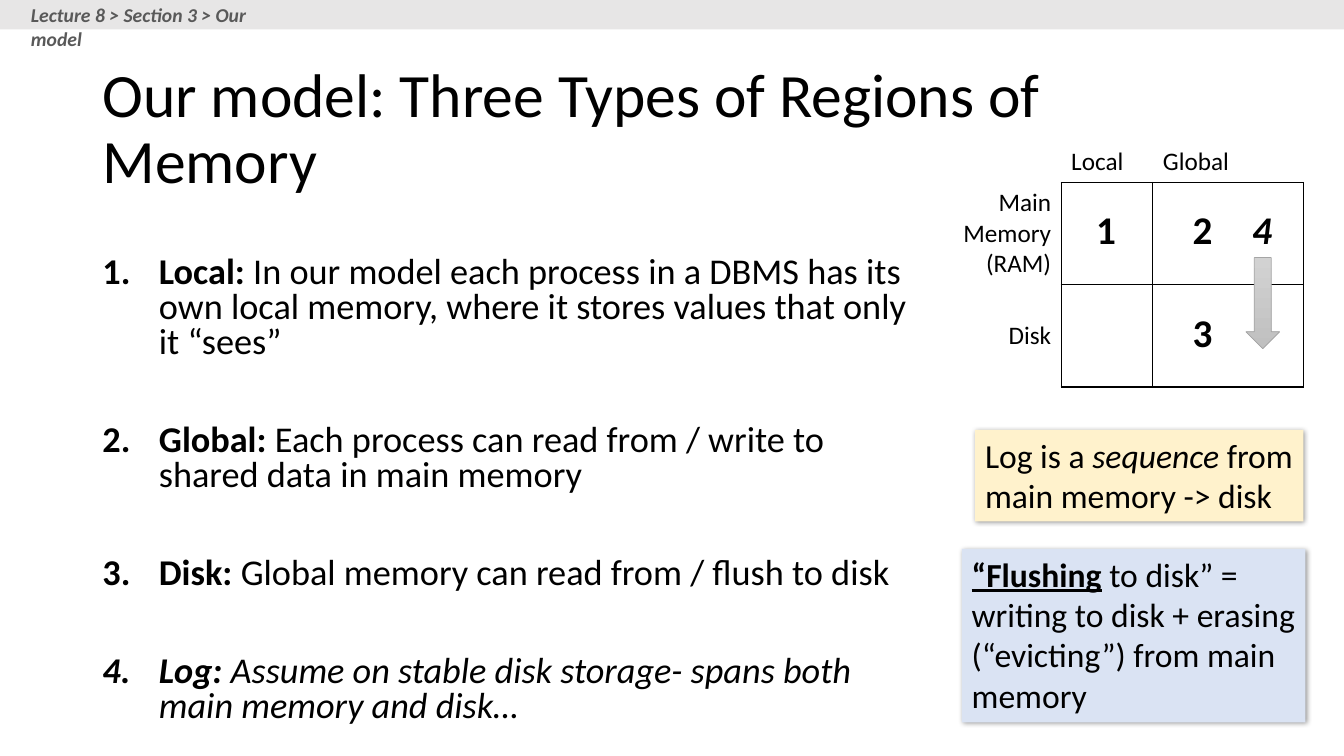
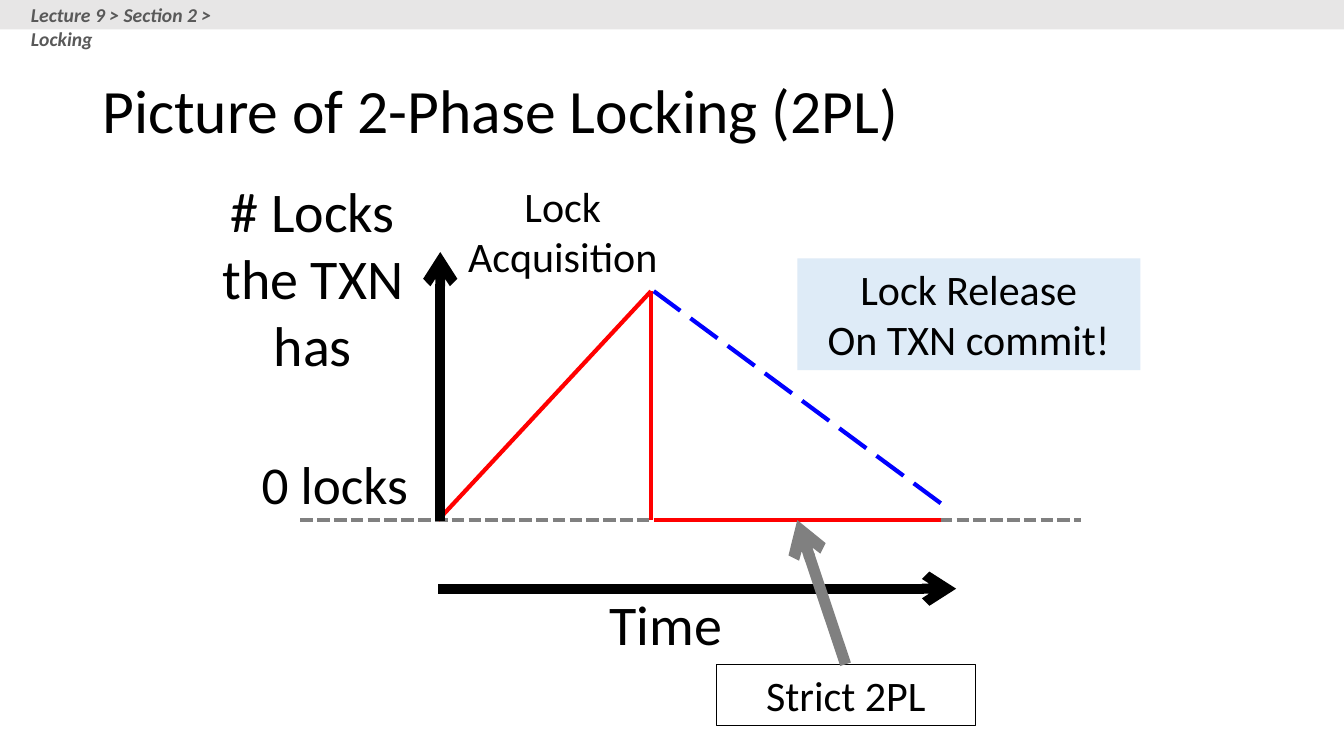
from lxml.etree import SubElement
from pptx import Presentation
from pptx.dml.color import RGBColor
from pptx.enum.dml import MSO_LINE
from pptx.enum.shapes import MSO_CONNECTOR, MSO_SHAPE
from pptx.enum.text import MSO_ANCHOR, MSO_AUTO_SIZE, PP_ALIGN
from pptx.oxml.ns import qn
from pptx.util import Pt

# Shared look
FONT = "Calibri"
BLACK, RED, BLUE, GRAY = "000000", "FF0000", "0000FF", "808080"
BAND, CRUMB = "E7E6E6", "595959"
CREAM, SKY, PALE = "FFF2CC", "DAE3F3", "DEEBF7"
WIDE, HIGH = 960, 540
LEFT, MID, RIGHT = PP_ALIGN.LEFT, PP_ALIGN.CENTER, PP_ALIGN.RIGHT
PLAIN = "{2D5ABB26-0587-4C30-8999-92F81FD0307C}"


def color(code):
    return RGBColor.from_string(code)


def points(values):
    return [Pt(value) for value in values]


# Text
def write(frame, paras, size=18, ink=BLACK, align=LEFT, gap=0, lines=None,
          anchor=MSO_ANCHOR.TOP, hang=0):
    """Each paragraph is a string or a list of (text, marks); marks are b, i, u."""
    frame.word_wrap = True
    frame.auto_size = MSO_AUTO_SIZE.NONE
    frame.vertical_anchor = anchor
    for index, para in enumerate(paras):
        item = frame.add_paragraph() if index else frame.paragraphs[0]
        if hang:
            number(item, hang)
        item.alignment = align
        item.space_before = Pt(gap if index else 0)
        item.space_after = Pt(0)
        if lines:
            item.line_spacing = lines
        for words, marks in [(para, "")] if isinstance(para, str) else para:
            run = item.add_run()
            run.text = words
            font = run.font
            font.name, font.size = FONT, Pt(size)
            font.color.rgb = color(ink)
            font.bold, font.italic = "b" in marks, "i" in marks
            font.underline = "u" in marks


def number(item, hang):
    props = item._p.get_or_add_pPr()
    props.set("marL", str(Pt(hang)))
    props.set("indent", str(-Pt(hang)))
    SubElement(props, qn("a:buFont"), typeface="+mj-lt")
    SubElement(props, qn("a:buAutoNum"), type="arabicPeriod")


def label(slide, place, paras, **style):
    write(slide.shapes.add_textbox(*points(place)).text_frame, paras, **style)


# Shapes and lines
def block(slide, place, fill=None, edge=None, paras=(), shade=False,
          kind=MSO_SHAPE.RECTANGLE, thick=0.75, **style):
    shape = slide.shapes.add_shape(kind, *points(place))
    shape.shadow.inherit = False
    if fill:
        shape.fill.solid()
        shape.fill.fore_color.rgb = color(fill)
    else:
        shape.fill.background()
    if edge:
        shape.line.color.rgb = color(edge)
        shape.line.width = Pt(thick)
    else:
        shape.line.fill.background()
    if shade:
        soften(shape)
    if paras:
        write(shape.text_frame, paras, **style)
    return shape


def soften(shape):
    effects = shape._element.spPr.find(qn("a:effectLst"))
    cast = SubElement(effects, qn("a:outerShdw"), blurRad=str(Pt(4)),
                      dist=str(Pt(1)), dir="2700000", algn="tl", rotWithShape="0")
    tint = SubElement(cast, qn("a:srgbClr"), val=BLACK)
    SubElement(tint, qn("a:alpha"), val="40000")


def line(slide, start, end, ink, thick=3, dash=None, arrow=False):
    link = slide.shapes.add_connector(MSO_CONNECTOR.STRAIGHT, *points(start + end))
    link.line.color.rgb = color(ink)
    link.line.width = Pt(thick)
    if dash:
        link.line.dash_style = dash
    props = link._element.spPr
    if arrow:
        SubElement(props.find(qn("a:ln")), qn("a:tailEnd"), type="arrow")
    SubElement(props, qn("a:effectLst"))


# Table
def border(cell, sides):
    props = cell._tc.get_or_add_tcPr()
    for side in "LRTB":
        edge = SubElement(props, qn("a:ln" + side), w=str(Pt(1)))
        if side in sides:
            fill = SubElement(edge, qn("a:solidFill"))
            SubElement(fill, qn("a:srgbClr"), val=BLACK)
        else:
            SubElement(edge, qn("a:noFill"))


def grid(slide, left, top, cols, rows, texts):
    table = slide.shapes.add_table(
        len(rows), len(cols), *points((left, top, sum(cols), sum(rows)))).table
    table._tbl.tblPr.find(qn("a:tableStyleId")).text = PLAIN
    table.first_row = table.horz_banding = False
    for col, width in zip(table.columns, cols):
        col.width = Pt(width)
    for y, height in enumerate(rows):
        table.rows[y].height = Pt(height)
        for x in range(len(cols)):
            cell = table.cell(y, x)
            if x and y:
                border(cell, "LRTB")
            else:
                border(cell, "B" if x else "R" if y else "")
            cell.fill.background()
            if texts[y][x]:
                write(cell.text_frame, [texts[y][x]], align=LEFT if x else RIGHT)
            cell.vertical_anchor = MSO_ANCHOR.MIDDLE if y else MSO_ANCHOR.BOTTOM


# Slide frame
def place(holder, spot):
    holder.left, holder.top, holder.width, holder.height = points(spot)


def start(deck, layout, title, top, crumb):
    slide = deck.slides.add_slide(deck.slide_layouts[layout])
    place(slide.shapes.title, (66, top, 828, 104.4))
    write(slide.shapes.title.text_frame, [title], size=44, lines=0.9,
          anchor=MSO_ANCHOR.MIDDLE)
    block(slide, (0, 0, WIDE, 21), BAND)
    label(slide, (15, -1.4, 178, 42), [[(crumb, "bi")]], size=14, ink=CRUMB)
    return slide


def regions(deck):
    slide = start(deck, 1, "Our model: Three Types of Regions of Memory", 41,
                  "Lecture 8 > Section 3 > Our model")

    # Numbered list
    body = slide.placeholders[1]
    place(body, (66, 179.6, 602.6, 360.4))
    write(body.text_frame, [
        [("Local: ", "b"), ("In our model each process in a DBMS has its own "
                            "local memory, where it stores values that only it “sees”", "")],
        [("Global: ", "b"), ("Each process can read from / write to shared "
                             "data in main memory", "")],
        [("Disk: ", "b"), ("Global memory can read from / flush to disk", "")],
        [("Log: ", "bi"), ("Assume on stable disk storage- spans both main "
                           "memory and disk…", "i")],
    ], size=25.9, lines=0.8, gap=45.3, hang=40.3)

    # Memory map
    grid(slide, 676, 80.6, (82, 65.5, 107.5), (49.7, 73, 73), [
        ("", "Local", "Global"),
        ("Main Memory (RAM)", "", ""),
        ("Disk", "", "")])
    for digit, x, y, marks in (("1", 790, 143, "b"), ("2", 859, 143, "b"),
                               ("3", 859, 217, "b"), ("4", 901.5, 143, "bi")):
        label(slide, (x - 18, y, 36, 41), [[(digit, marks)]], size=28, align=MID)
    flow = block(slide, (890, 184, 24, 65), edge="A5A5A5", thick=0.5,
                 kind=MSO_SHAPE.DOWN_ARROW)
    flow.fill.gradient()
    flow.fill.gradient_angle = 270
    for stop, tone in zip(flow.fill.gradient_stops, ("D2D2D2", "C0C0C0")):
        stop.color.rgb = color(tone)

    # Notes
    block(slide, (696.5, 307, 234.5, 65.5), CREAM, shade=True, size=24, paras=[
        [("Log is a ", ""), ("sequence", "i"), (" from main memory -> disk", "")]])
    block(slide, (687, 392, 245.5, 124), SKY, shade=True, size=24, paras=[
        [("“Flushing", "bu"),
         (" to disk” = writing to disk + erasing (“evicting”) from main memory", "")]])


def locking(deck):
    slide = start(deck, 5, "Picture of 2-Phase Locking (2PL)", 29,
                  "Lecture 9 > Section 2 > Locking")

    # Lock count over time
    base, peak, turn, end = 371.5, 208, 465, 672
    line(slide, (214.5, base), (772.5, base), GRAY, dash=MSO_LINE.SQUARE_DOT)
    line(slide, (313, base), (turn, peak), RED)
    line(slide, (turn, base), (turn, peak), RED)
    line(slide, (turn + 2, base), (end, base), RED)
    line(slide, (end, 359.5), (turn + 2, peak), BLUE, dash=MSO_LINE.LONG_DASH)

    # Axes
    line(slide, (313, 420.5), (683, 420.5), BLACK, thick=7, arrow=True)
    line(slide, (314.5, 372), (314.5, 180), BLACK, thick=7, arrow=True)

    # Labels
    for words, spot, size in (
            ("Time", (381.5, 417.5, 188, 55.5), 40),
            ("0 locks", (178.5, 319, 121.5, 53), 38),
            ("# Locks the TXN has", (129.5, 122.5, 188, 152.5), 40),
            ("Lock Acquisition", (311, 125.5, 182, 80), 30)):
        label(slide, spot, [words], size=size, align=MID)
    block(slide, (569.5, 184.5, 245, 80), PALE, size=30, align=MID,
          paras=["Lock Release", "On TXN commit!"])
    block(slide, (512, 474.5, 184.5, 44), edge=BLACK, size=30, align=MID,
          paras=["Strict 2PL"])
    line(slide, (604, 474.5), (569.5, base), GRAY, thick=8, arrow=True)


def main():
    deck = Presentation()
    deck.slide_width, deck.slide_height = Pt(WIDE), Pt(HIGH)
    regions(deck)
    locking(deck)
    deck.save("out.pptx")


if __name__ == "__main__":
    main()
